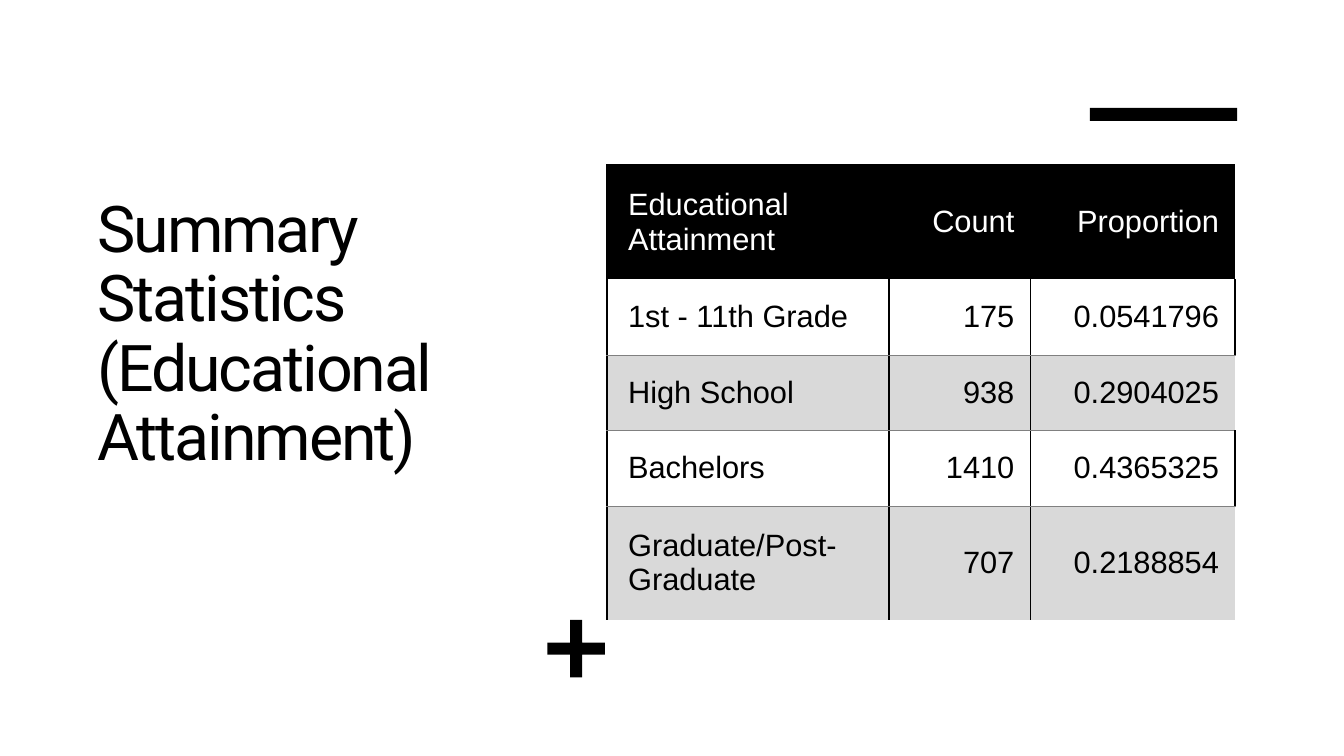
import dataclasses
import typing

import lxml.etree
import pptx
import pptx.dml.color
import pptx.enum.shapes
import pptx.enum.text
import pptx.oxml.ns
import pptx.util

Inches = pptx.util.Inches
Pt = pptx.util.Pt
RGBColor = pptx.dml.color.RGBColor
Shape = pptx.enum.shapes.MSO_SHAPE
Align = pptx.enum.text.PP_ALIGN
Anchor = pptx.enum.text.MSO_ANCHOR
qn = pptx.oxml.ns.qn

BLACK = RGBColor(0x00, 0x00, 0x00)
WHITE = RGBColor(0xFF, 0xFF, 0xFF)
BAND = RGBColor(0xD9, 0xD9, 0xD9)
GRAY = RGBColor(0x80, 0x80, 0x80)
PLAIN_TABLE_STYLE = "{2D5ABB26-0587-4C30-8999-92F81FD0307C}"


@dataclasses.dataclass(frozen=True)
class Accent:
    kind: Shape
    left: float
    top: float
    width: float
    height: float
    adjustments: tuple[float, ...] = ()


@dataclasses.dataclass(frozen=True)
class Border:
    color: RGBColor
    points: float


@dataclasses.dataclass(frozen=True)
class StatisticsRow:
    attainment: str
    count: str
    proportion: str
    height: float


HEAVY = Border(BLACK, 1.5)
THIN = Border(GRAY, 0.5)

ACCENTS = [
    Accent(Shape.RECTANGLE, 10.81, 1.07, 1.46, 0.13),
    Accent(Shape.CROSS, 5.43, 6.15, 0.57, 0.57, (0.395,)),
]
COLUMN_WIDTHS = [2.8, 1.4, 2.03]
ROWS = [
    StatisticsRow("Educational Attainment", "Count", "Proportion", 1.13),
    StatisticsRow("1st - 11th Grade", "175", "0.0541796", 0.75),
    StatisticsRow("High School", "938", "0.2904025", 0.75),
    StatisticsRow("Bachelors", "1410", "0.4365325", 0.75),
    StatisticsRow("Graduate/Post-Graduate", "707", "0.2188854", 1.13),
]


def write_text(frame: typing.Any, text: str, *, font: str, size: float, color: RGBColor,
               align: Align = Align.LEFT, line_spacing: float = 1.0,
               tracking: float = 0) -> None:
    frame.word_wrap = True
    para = frame.paragraphs[0]
    para.alignment = align
    para.line_spacing = line_spacing
    span = para.add_run()
    span.text = text
    span.font.name = font
    span.font.size = Pt(size)
    span.font.color.rgb = color
    if tracking:
        span._r.get_or_add_rPr().set("spc", str(round(tracking * 100)))


def draw_accent(page: typing.Any, accent: Accent) -> None:
    shape = page.shapes.add_shape(accent.kind, Inches(accent.left), Inches(accent.top),
                                  Inches(accent.width), Inches(accent.height))
    shape.shadow.inherit = False
    shape.fill.solid()
    shape.fill.fore_color.rgb = BLACK
    shape.line.fill.background()
    for index, value in enumerate(accent.adjustments):
        shape.adjustments[index] = value


def draw_title(page: typing.Any) -> None:
    box = page.shapes.add_textbox(Inches(0.87), Inches(1.78), Inches(4.26), Inches(2.98))
    box.text_frame.vertical_anchor = Anchor.BOTTOM
    write_text(box.text_frame, "Summary Statistics (Educational Attainment)", font="Roboto",
               size=46, color=BLACK, line_spacing=0.9, tracking=-1.5)


def choose_borders(row: int, column: int) -> dict[str, Border]:
    if row == 0:
        return {"L": HEAVY, "T": HEAVY} if column == 0 else {"T": HEAVY}
    if row % 2:
        return {"L": HEAVY, "R": HEAVY, "B": THIN}
    if column == len(COLUMN_WIDTHS) - 1:
        return {"L": HEAVY, "T": THIN}
    return {"L": HEAVY, "R": HEAVY, "T": THIN}


def set_borders(cell: typing.Any, borders: dict[str, Border]) -> None:
    properties = cell._tc.get_or_add_tcPr()
    for position, (side, border) in enumerate(borders.items()):
        line = lxml.etree.Element(qn(f"a:ln{side}"), w=str(Pt(border.points)))
        fill = lxml.etree.SubElement(line, qn("a:solidFill"))
        lxml.etree.SubElement(fill, qn("a:srgbClr"), val=str(border.color))
        properties.insert(position, line)


def fill_cell(cell: typing.Any, text: str, row: int, column: int) -> None:
    cell.margin_left = Inches(0.21)
    cell.margin_top = cell.margin_right = cell.margin_bottom = Inches(0.16)
    cell.vertical_anchor = Anchor.MIDDLE
    write_text(cell.text_frame, text, font="Arial", size=22,
               color=BLACK if row else WHITE,
               align=Align.RIGHT if column else Align.LEFT)
    if row % 2:
        cell.fill.background()
    else:
        cell.fill.solid()
        cell.fill.fore_color.rgb = BAND if row else BLACK
    set_borders(cell, choose_borders(row, column))


def draw_table(page: typing.Any) -> None:
    frame = page.shapes.add_table(len(ROWS), len(COLUMN_WIDTHS), Inches(6.02), Inches(1.64),
                                  Inches(sum(COLUMN_WIDTHS)),
                                  Inches(sum(entry.height for entry in ROWS)))
    table = frame.table
    table.first_row = False
    table.horz_banding = False
    table._tbl.tblPr.find(qn("a:tableStyleId")).text = PLAIN_TABLE_STYLE
    for column, width in enumerate(COLUMN_WIDTHS):
        table.columns[column].width = Inches(width)
    for row, entry in enumerate(ROWS):
        table.rows[row].height = Inches(entry.height)
        for column, text in enumerate((entry.attainment, entry.count, entry.proportion)):
            fill_cell(table.cell(row, column), text, row, column)


deck = pptx.Presentation()
deck.slide_width = Inches(13.33)
deck.slide_height = Inches(7.5)
page = deck.slides.add_slide(deck.slide_layouts[6])
page.background.fill.solid()
page.background.fill.fore_color.rgb = WHITE
draw_title(page)
for accent in ACCENTS:
    draw_accent(page, accent)
draw_table(page)
deck.save("out.pptx")
